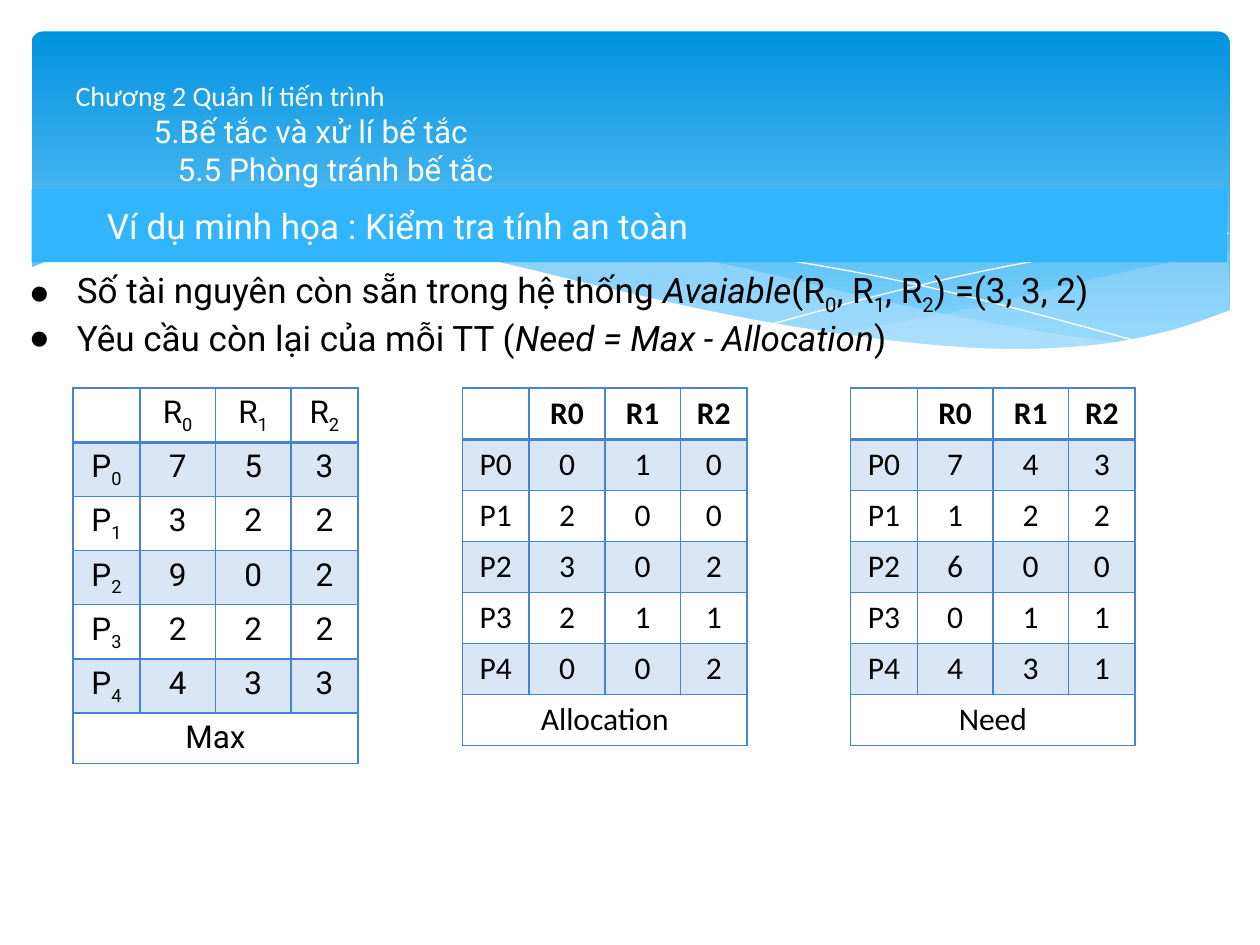
import dataclasses

import pptx
import pptx.dml.color
import pptx.enum.shapes
import pptx.enum.text
import pptx.oxml
import pptx.oxml.ns
import pptx.util

Inches = pptx.util.Inches
Pt = pptx.util.Pt
qn = pptx.oxml.ns.qn


@dataclasses.dataclass(frozen=True)
class Theme:
    sky_top: str = "0293E0"
    sky_bottom: str = "83D3FE"
    wave: str = "C6E7FC"
    bar: str = "31B6FD"
    grid: str = "4584D3"
    white: str = "FFFFFF"
    black: str = "000000"
    heading: str = "Roboto"
    plain: str = "Calibri"
    small: int = 16
    medium: int = 18
    large: int = 20


THEME = Theme()

FRONT_WAVE = [(9.77, 2.46), (9.3, 2.62), (8.75, 2.73), (8.09, 2.77), (7.44, 2.74),
              (6.68, 2.65), (5.79, 2.5), (4.75, 2.27), (3.91, 2.07), (3.15, 1.94),
              (2.5, 1.86), (1.77, 1.84), (1.19, 1.87), (0.67, 1.97), (0.23, 2.13)]
RIGHT_TOP = [(9.75, 2), (9.21, 2.1), (8.61, 2.23), (7.79, 2.43), (7.06, 2.57), (6.61, 2.65)]
RIGHT_BOTTOM = [(6.61, 2.65), (7.05, 2.71), (7.57, 2.76), (8.14, 2.78), (8.72, 2.74),
                (9.28, 2.64), (9.76, 2.47)]
LONG_TOP = [(8.93, 2.73), (8.07, 2.6), (7.06, 2.4), (6.13, 2.18), (5.41, 2.03),
            (4.64, 1.91), (3.8, 1.86), (2.86, 1.91)]
LONG_BOTTOM = [(2.86, 1.91), (3.62, 2.03), (4.49, 2.22), (5.66, 2.48), (6.5, 2.64),
               (7.36, 2.75), (8.18, 2.79), (8.93, 2.74)]
FALLING_LINE = [(3.09, 1.95), (3.53, 1.89), (4.16, 1.87), (4.89, 1.9), (5.82, 2),
                (6.95, 2.19), (7.95, 2.42), (9.07, 2.72)]
RISING_LINE = [(6.13, 2.57), (6.95, 2.35), (7.76, 2.16), (8.66, 1.99), (9.24, 1.9), (9.75, 1.85)]

HEADERS = ["R0", "R1", "R2"]
MAX = ["753", "322", "902", "222", "433"]
ALLOCATION = ["010", "200", "302", "211", "002"]
NEED = ["743", "122", "600", "011", "431"]


def rgb(color):
    return pptx.dml.color.RGBColor.from_string(color)


def set_alpha(element, percent):
    clr = element.find(".//" + qn("a:srgbClr"))
    pptx.oxml.ns  
    clr.append(pptx.oxml.parse_xml(
        f'<a:alpha {pptx.oxml.ns.nsdecls("a")} val="{percent * 1000}"/>'))


def smooth(knots, steps=5):
    padded = [knots[0], *knots, knots[-1]]
    points = [knots[0]]
    for a, b, c, d in zip(padded, padded[1:], padded[2:], padded[3:]):
        for t in (i / steps for i in range(1, steps + 1)):
            points.append(tuple(
                q + t * (r - p + t * (2 * p - 5 * q + 4 * r - s + t * (3 * (q - r) + s - p))) / 2
                for p, q, r, s in zip(a, b, c, d)))
    return points


def add_outline(s, points, fill=None, alpha=100):
    pts = [(Inches(x), Inches(y)) for x, y in points]
    builder = s.shapes.build_freeform(*pts[0], scale=1.0)
    builder.add_line_segments(pts[1:], close=fill is not None)
    sp = builder.convert_to_shape()
    sp.shadow.inherit = False
    if fill is None:
        sp.fill.background()
        sp.line.color.rgb = rgb(THEME.white)
        sp.line.width = Pt(0)
    else:
        sp.fill.solid()
        sp.fill.fore_color.rgb = rgb(fill)
        sp.line.fill.background()
        if alpha < 100:
            set_alpha(sp._element.spPr, alpha)


def add_box(s, kind, x, y, w, h):
    sp = s.shapes.add_shape(kind, Inches(x), Inches(y), Inches(w), Inches(h))
    sp.shadow.inherit = False
    sp.line.fill.background()
    return sp


def add_run(p, text, font, size, color, bold=False, italic=False, sub=False):
    r = p.add_run()
    r.text = text
    r.font.name = font
    r.font.size = Pt(size)
    r.font.color.rgb = rgb(color)
    r.font.bold = bold
    r.font.italic = italic
    if sub:
        r.font._element.set("baseline", "-25000")


def set_indent(p, left, first=0):
    pPr = p._p.get_or_add_pPr()
    pPr.set("marL", str(Inches(left)))
    pPr.set("indent", str(Inches(first)))
    return pPr


def place(s, sp, x, y, w, h, anchor):
    sp.left, sp.top, sp.width, sp.height = map(Inches, (x, y, w, h))
    s.shapes._spTree.append(sp._element)
    tf = sp.text_frame
    tf.auto_size = pptx.enum.text.MSO_AUTO_SIZE.NONE
    tf.word_wrap = True
    tf.vertical_anchor = anchor
    return tf


def next_paragraph(tf, index):
    p = tf.add_paragraph() if index else tf.paragraphs[0]
    p.alignment = pptx.enum.text.PP_ALIGN.LEFT
    p.space_before = Pt(0)
    return p


def add_backdrop(s):
    sp = add_box(s, pptx.enum.shapes.MSO_SHAPE.ROUNDED_RECTANGLE, 0.25, 0.25, 9.51, 2.7)
    sp.adjustments[0] = 0.034
    sp.fill.gradient()
    sp.fill.gradient_angle = 270
    stops = ((0, THEME.sky_top), (0.9, THEME.sky_bottom))
    for stop, (position, color) in zip(sp.fill.gradient_stops, stops):
        stop.position = position
        stop.color.rgb = rgb(color)
    add_outline(s, smooth(RIGHT_TOP) + smooth(RIGHT_BOTTOM), THEME.wave, 29)
    add_outline(s, smooth(LONG_TOP) + smooth(LONG_BOTTOM), THEME.wave, 40)
    add_outline(s, smooth(FALLING_LINE))
    add_outline(s, smooth(RISING_LINE))
    add_outline(s, smooth(FRONT_WAVE) + [(0.23, 3.29), (9.77, 3.29)], THEME.white)


def add_title(s):
    tf = place(s, s.shapes.title, 0.5, 0.37, 9, 1.37, pptx.enum.text.MSO_ANCHOR.MIDDLE)
    lines = [("Chương 2 Quản lí tiến trình", 0, THEME.plain, THEME.small),
             ("5.Bế tắc và xử lí bế tắc", 0.62, THEME.heading, THEME.medium),
             ("5.5 Phòng tránh bế tắc", 0.81, THEME.heading, THEME.medium)]
    for i, (text, left, font, size) in enumerate(lines):
        p = next_paragraph(tf, i)
        set_indent(p, left)
        add_run(p, text, font, size, THEME.white)


def add_bar(s):
    sp = add_box(s, pptx.enum.shapes.MSO_SHAPE.RECTANGLE, 0.25, 1.5, 9.49, 0.58)
    sp.fill.solid()
    sp.fill.fore_color.rgb = rgb(THEME.bar)
    p = next_paragraph(sp.text_frame, 0)
    set_indent(p, 0.5)
    add_run(p, "Ví dụ minh họa : Kiểm tra tính an toàn", THEME.heading, THEME.large, THEME.white)


def add_bullets(s):
    tf = place(s, s.placeholders[1], 0.13, 2.08, 9.57, 0.77, pptx.enum.text.MSO_ANCHOR.TOP)
    items = [[("Số tài nguyên còn sẵn trong hệ thống ", ""), ("Avaiable", "italic"),
              ("(R", ""), ("0", "sub"), (", R", ""), ("1", "sub"), (", R", ""), ("2", "sub"),
              (") =(3, 3, 2)", "")],
             [("Yêu cầu còn lại của mỗi TT (", ""), ("Need = Max - Allocation", "italic"),
              (")", "")]]
    for i, runs in enumerate(items):
        p = next_paragraph(tf, i)
        pPr = set_indent(p, 0.38, -0.38)
        pPr.append(pptx.oxml.parse_xml(f'<a:buChar {pptx.oxml.ns.nsdecls("a")} char="●"/>'))
        for text, style in runs:
            add_run(p, text, THEME.heading, THEME.large, THEME.black,
                    italic=style == "italic", sub=style == "sub")


def style_cell(cell, header, banded):
    tcPr = cell._tc.get_or_add_tcPr()
    for side in "LRTB":
        width = Pt(2 if header and side == "B" else 1)
        tcPr.append(pptx.oxml.parse_xml(
            f'<a:ln{side} {pptx.oxml.ns.nsdecls("a")} w="{width}"><a:solidFill>'
            f'<a:srgbClr val="{THEME.grid}"/></a:solidFill></a:ln{side}>'))
    if banded:
        cell.fill.solid()
        cell.fill.fore_color.rgb = rgb(THEME.grid)
        set_alpha(tcPr.find(qn("a:solidFill")), 20)
    else:
        cell.fill.background()


def add_matrix(s, x, caption, values, font, subscripts=False):
    rows = [["", *HEADERS]]
    rows += [[f"P{i}", *digits] for i, digits in enumerate(values)]
    rows.append([caption, "", "", ""])
    table = s.shapes.add_table(len(rows), 4, Inches(x), Inches(3.08),
                               Inches(2.26), Inches(2.8)).table
    table.first_row = table.horz_banding = False
    for column, width in zip(table.columns, (0.53, 0.6, 0.6, 0.53)):
        column.width = Inches(width)
    last = len(rows) - 1
    for i, row in enumerate(rows):
        for j, text in enumerate(row):
            cell = table.cell(i, j)
            style_cell(cell, i == 0, i % 2 == 1 and i < last)
            p = cell.text_frame.paragraphs[0]
            p.alignment = pptx.enum.text.PP_ALIGN.CENTER
            parts = list(text) if subscripts and len(text) == 2 else [text] if text else []
            for k, part in enumerate(parts):
                add_run(p, part, font, THEME.medium, THEME.black,
                        bold=i == 0 and not subscripts, sub=k > 0)
    table.cell(last, 0).merge(table.cell(last, 3))


def main():
    prs = pptx.Presentation()
    prs.slide_width, prs.slide_height = Inches(10), Inches(7.5)
    s = prs.slides.add_slide(prs.slide_layouts[1])
    add_backdrop(s)
    add_title(s)
    add_bar(s)
    add_bullets(s)
    add_matrix(s, 0.58, "Max", MAX, THEME.heading, subscripts=True)
    add_matrix(s, 3.67, "Allocation", ALLOCATION, THEME.plain)
    add_matrix(s, 6.75, "Need", NEED, THEME.plain)
    prs.save("out.pptx")


if __name__ == "__main__":
    main()
